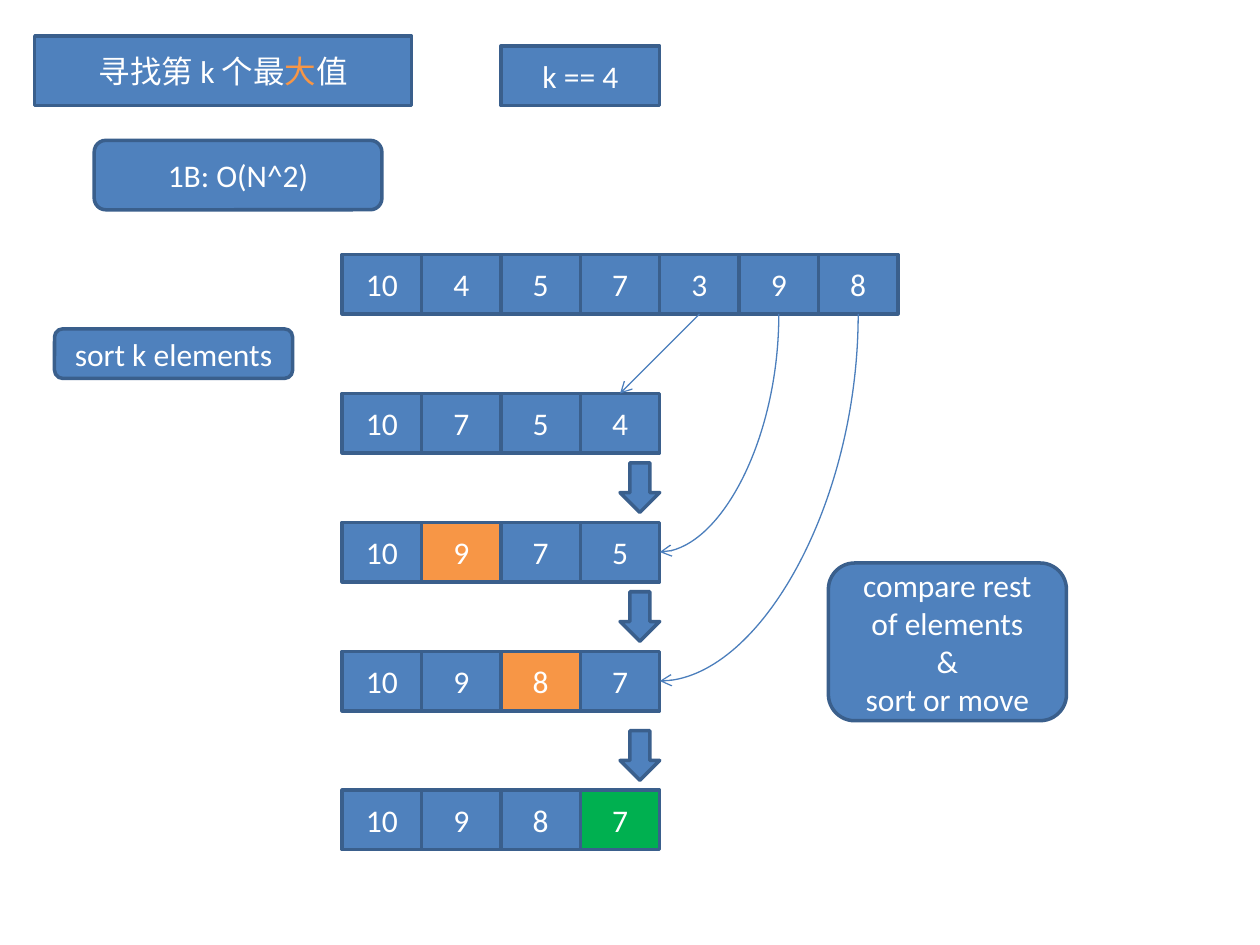
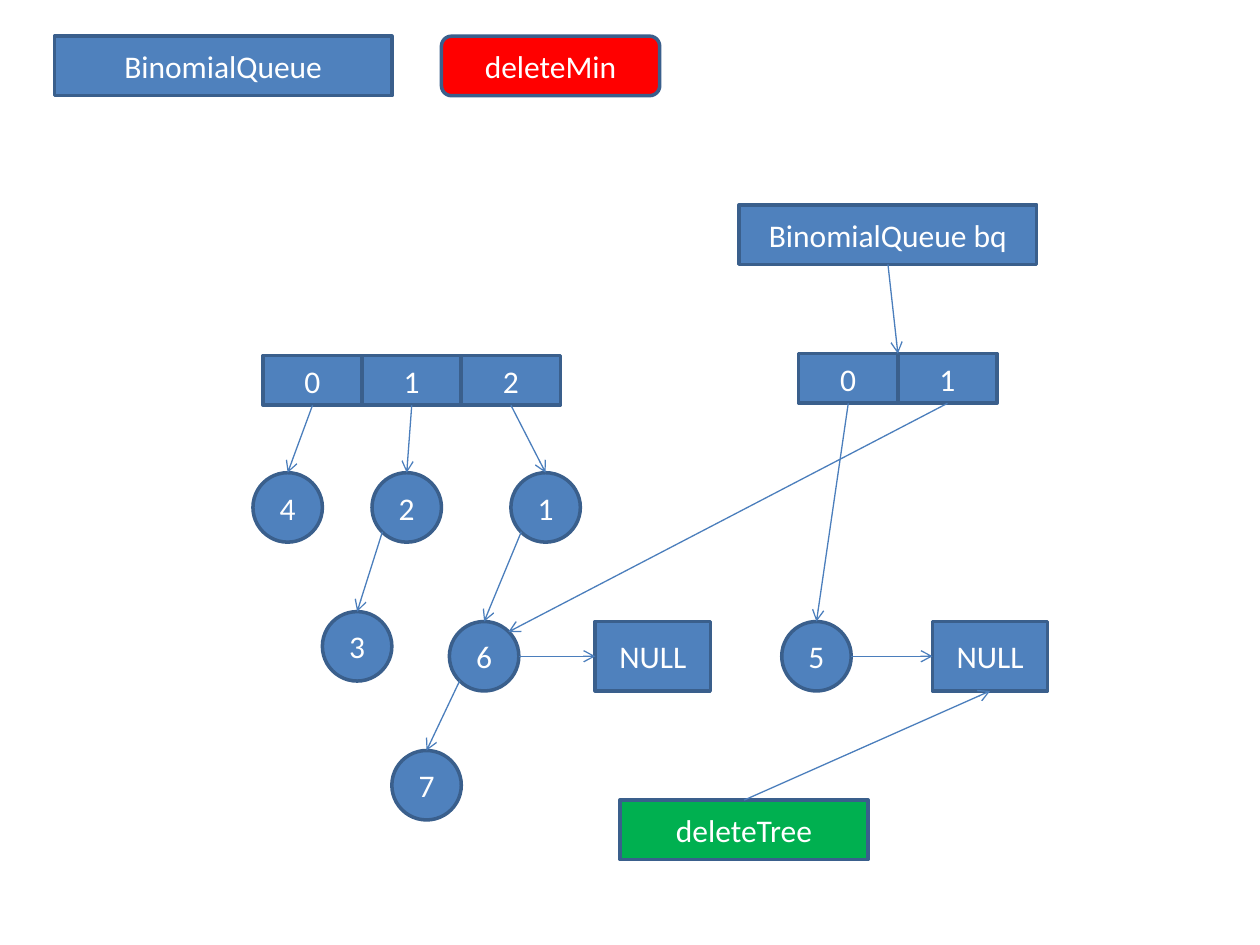
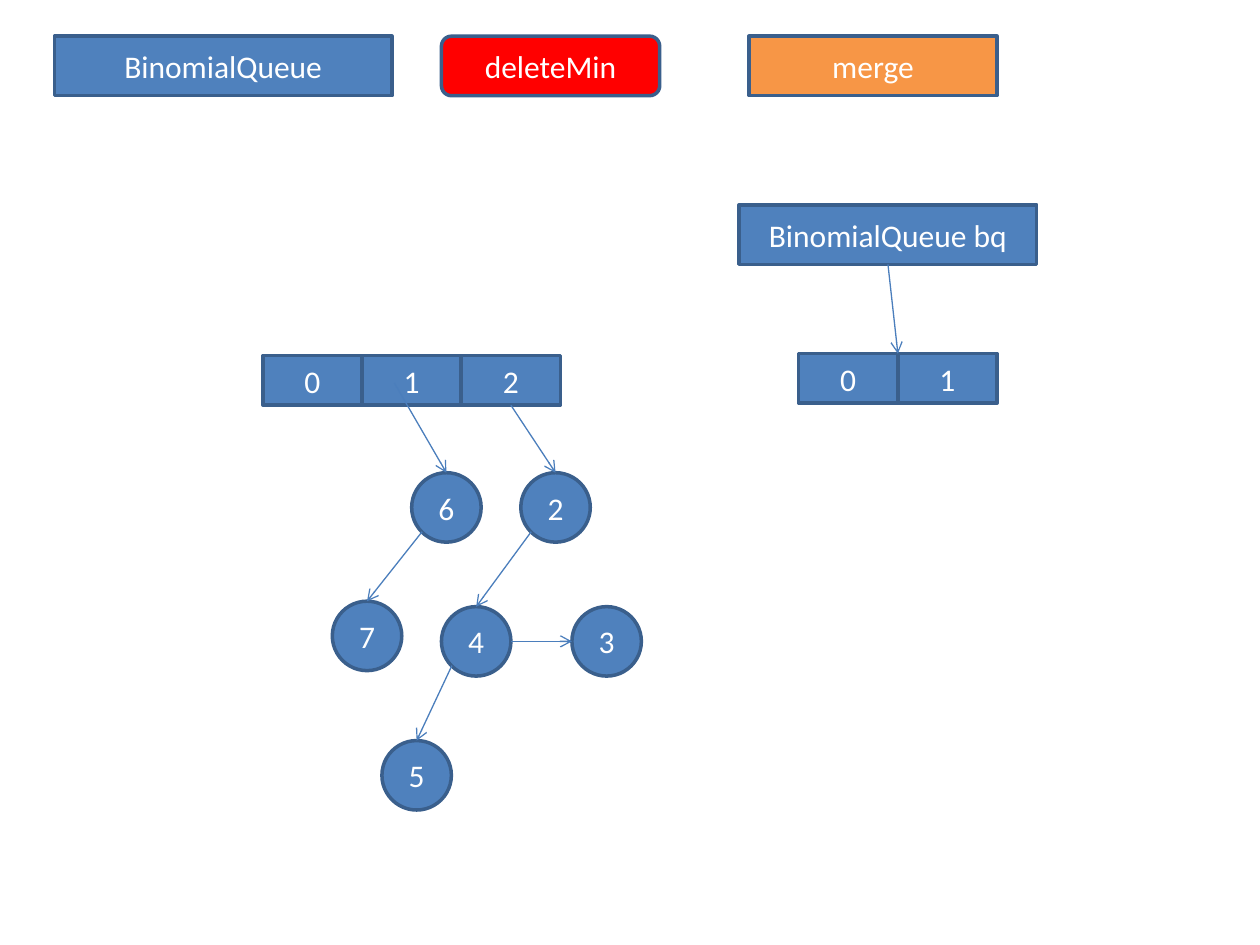
from dataclasses import dataclass

from lxml.etree import SubElement
from pptx import Presentation
from pptx.dml.color import RGBColor
from pptx.enum.shapes import MSO_CONNECTOR, MSO_SHAPE
from pptx.enum.text import MSO_ANCHOR, MSO_AUTO_SIZE, PP_ALIGN
from pptx.oxml.ns import qn
from pptx.util import Cm, Pt

RECT, ROUND = MSO_SHAPE.RECTANGLE, MSO_SHAPE.ROUNDED_RECTANGLE
OVAL, DOWN = MSO_SHAPE.OVAL, MSO_SHAPE.DOWN_ARROW
STRAIGHT, CURVE = MSO_CONNECTOR.STRAIGHT, MSO_CONNECTOR.CURVE
CENTER, MIDDLE, NO_FIT = PP_ALIGN.CENTER, MSO_ANCHOR.MIDDLE, MSO_AUTO_SIZE.NONE
TITLE_ONLY = 5


@dataclass(frozen=True)
class Theme:
    """Colours, type and line weights shared by all slides."""

    blue: RGBColor = RGBColor(0x4F, 0x81, 0xBD)
    edge: RGBColor = RGBColor(0x3A, 0x5F, 0x8C)
    link: RGBColor = RGBColor(0x4B, 0x7E, 0xBC)
    orange: RGBColor = RGBColor(0xF7, 0x96, 0x46)
    green: RGBColor = RGBColor(0x00, 0xB0, 0x50)
    red: RGBColor = RGBColor(0xFF, 0x00, 0x00)
    white: RGBColor = RGBColor(0xFF, 0xFF, 0xFF)
    font: str = "Calibri"
    size: int = Pt(18)
    edge_width: int = Pt(2)
    link_width: int = Pt(0.75)


T = Theme()
FONT = {"name": T.font, "size": T.size}
FRAME = {"vertical_anchor": MIDDLE, "word_wrap": True, "auto_size": NO_FIT}
SITES = {
    "top": (0.5, 0), "left": (0, 0.5), "bottom": (0.5, 1), "right": (1, 0.5),
    "lower left": (0.15, 0.85), "upper right": (0.85, 0.15), "corner": (1, 0),
}
JOINS = {"top": 0, "left": 1, "bottom": 2, "right": 3}
CELL_W, CELL_H = 1.6, 1.2
INDEX_W, INDEX_H = 2, 1
NODE = 1.4


def write(tf, text, accent=None):
    """Fill a text frame with centred paragraphs, colouring the accent part."""
    for name, value in FRAME.items():
        setattr(tf, name, value)
    for i, line in enumerate(text.split("\n")):
        p = tf.add_paragraph() if i else tf.paragraphs[0]
        p.alignment = CENTER
        for part in line.partition(accent) if accent else [line]:
            r = p.add_run()
            r.text = part
            for name, value in FONT.items():
                setattr(r.font, name, value)
            r.font.color.rgb = T.orange if part == accent else T.white


def dress(sp, text, fill, accent=None):
    """Give a shape its fill, outline and text."""
    sp.shadow.inherit = False
    sp.fill.solid()
    sp.fill.fore_color.rgb = fill
    sp.line.color.rgb = T.edge
    sp.line.width = T.edge_width
    if text:
        write(sp.text_frame, text, accent)


def box(s, x, y, w, h, text="", fill=T.blue, kind=RECT):
    """Add a dressed preset shape, measured in centimetres."""
    sp = s.shapes.add_shape(kind, Cm(x), Cm(y), Cm(w), Cm(h))
    dress(sp, text, fill)
    return sp


def title(s, x, y, w, h, text, accent=None):
    """Turn the title placeholder into a rounded heading."""
    sp = s.shapes.title
    sp.left, sp.top, sp.width, sp.height = Cm(x), Cm(y), Cm(w), Cm(h)
    geom = SubElement(sp.element.spPr, qn("a:prstGeom"), prst="roundRect")
    SubElement(geom, qn("a:avLst"))
    dress(sp, text, T.blue, accent)


def row(s, x, y, w, h, values, fills=None):
    """Lay equal cells side by side; fills maps a column to its colour."""
    fills = fills or {}
    return [box(s, x + i * w, y, w, h, value, fills.get(i, T.blue))
            for i, value in enumerate(values)]


def point(sp, site):
    """Return the position of a named site on a shape."""
    fx, fy = SITES[site]
    return int(sp.left + fx * sp.width), int(sp.top + fy * sp.height)


def arrow(s, kind, start, end):
    """Draw a thin connector with an open arrowhead at its end."""
    c = s.shapes.add_connector(kind, *start, *end)
    c.line.color.rgb = T.link
    c.line.width = T.link_width
    SubElement(c.line._get_or_add_ln(), qn("a:tailEnd"), type="arrow")
    SubElement(c.element.spPr, qn("a:effectLst"))
    return c


def joinable(sp, site):
    """Tell whether a site is a connection point the connector can join."""
    return site == "top" or (site in JOINS and sp.auto_shape_type == RECT)


def link(s, a, a_site, b, b_site):
    """Connect two shapes with a straight arrow."""
    c = arrow(s, STRAIGHT, point(a, a_site), point(b, b_site))
    if joinable(a, a_site):
        c.begin_connect(a, JOINS[a_site])
    if joinable(b, b_site):
        c.end_connect(b, JOINS[b_site])


def curve(s, a, b):
    """Bend an arrow from the bottom of one cell to the right of another."""
    (x1, y1), (x2, y2) = point(a, "bottom"), point(b, "right")
    cx, cy = (x1 + x2) // 2, (y1 + y2) // 2
    half_w, half_h = (y2 - y1) // 2, (x1 - x2) // 2
    c = arrow(s, CURVE, (cx - half_w, cy - half_h), (cx + half_w, cy + half_h))
    c.element.spPr.find(qn("a:prstGeom")).set("prst", "curvedConnector2")
    c.element.spPr.find(qn("a:xfrm")).set("rot", "5400000")


def sort_steps(s, x, y):
    """Draw the input array and the four leading elements after each step."""
    source = row(s, x, y, CELL_W, CELL_H, ["10", "4", "5", "7", "3", "9", "8"])
    steps = [
        (2.8, ["10", "7", "5", "4"], {}),
        (5.4, ["10", "9", "7", "5"], {1: T.orange}),
        (8, ["10", "9", "8", "7"], {2: T.orange}),
        (10.8, ["10", "9", "8", "7"], {3: T.green}),
    ]
    rows = [row(s, x, y + dy, CELL_W, CELL_H, values, fills)
            for dy, values, fills in steps]
    for dy in (4.2, 6.8, 9.6):
        box(s, x + 5.6, y + dy, 0.8, 1, kind=DOWN)
    link(s, source[4], "bottom", rows[0][3], "top")
    curve(s, source[5], rows[1][3])
    curve(s, source[6], rows[2][3])


def tree(s, x, y, places, children):
    """Place round nodes from the box corner and link parents to children."""
    nodes = {key: box(s, x + dx, y + dy, NODE, NODE, key, kind=OVAL)
             for key, (dx, dy) in places.items()}
    for parent, child in children:
        link(s, nodes[parent], "lower left", nodes[child], "top")
    return nodes


def forest(s, x, y, places, children):
    """Draw the three-slot index with its trees below."""
    cells = row(s, x, y, INDEX_W, INDEX_H, ["0", "1", "2"])
    return cells, tree(s, x, y, places, children)


def null_after(s, node, x, y):
    """Draw the NULL box that ends a sibling chain."""
    null = box(s, x, y, 2.32, NODE, "NULL")
    link(s, node, "right", null, "left")
    return null


def queue(s, x, y):
    """Draw the bq object and its two-slot index."""
    name = box(s, x, y, 6, 1.2, "BinomialQueue bq")
    cells = row(s, x + 1.2, y + 3, INDEX_W, INDEX_H, ["0", "1"])
    link(s, name, "bottom", cells[0], "corner")
    return cells


def headings(s, x, y):
    """Place the topic and operation headings."""
    title(s, x, y, 6.8, 1.2, "BinomialQueue")
    box(s, x + 7.8, y, 4.4, 1.2, "deleteMin", T.red, ROUND)


def kth_slide(s):
    """Build the search for the k-th largest value."""
    title(s, 0.7, 0.73, 7.6, 1.4, "寻找第 k 个最大值", accent="大")
    box(s, 10.1, 0.93, 3.2, 1.2, "k == 4")
    box(s, 1.9, 2.83, 5.8, 1.4, "1B: O(N^2)", kind=ROUND)
    box(s, 1.1, 6.63, 4.8, 1, "sort k elements", kind=ROUND)
    box(s, 16.7, 11.35, 4.8, 3.18,
        "compare rest of elements\n&\nsort or move", kind=ROUND)
    sort_steps(s, 6.9, 5.13)


def delete_slide(s):
    """Build the step that detaches the subtrees of the minimum."""
    headings(s, 1.1, 0.73)
    places = {"4": (-0.2, 2.36), "2": (2.2, 2.36), "1": (5, 2.36),
              "3": (1.2, 5.16), "6": (3.76, 5.36), "7": (2.6, 7.96)}
    cells, nodes = forest(s, 5.3, 7.17, places,
                          [("2", "3"), ("1", "6"), ("6", "7")])
    for cell, root in zip(cells, "421"):
        link(s, cell, "bottom", nodes[root], "top")
    bq = queue(s, 14.9, 4.13)
    five = tree(s, 14.9, 4.13, {"5": (0.86, 8.4)}, [])["5"]
    link(s, bq[0], "bottom", five, "top")
    link(s, bq[1], "bottom", nodes["6"], "upper right")
    null_after(s, nodes["6"], 12, 12.53)
    last_null = null_after(s, five, 18.8, 12.53)
    delete = box(s, 12.5, 16.13, 5, 1.2, "deleteTree", T.green)
    link(s, delete, "top", last_null, "bottom")


def merge_slide(s):
    """Build the state after both queues are merged."""
    headings(s, 1.1, 0.73)
    box(s, 15.1, 0.73, 5, 1.2, "merge", T.orange)
    places = {"6": (3, 2.36), "2": (5.2, 2.36), "7": (1.4, 4.95),
              "4": (3.6, 5.06), "3": (6.23, 5.06), "5": (2.4, 7.76)}
    cells, nodes = forest(s, 5.3, 7.17, places,
                          [("6", "7"), ("2", "4"), ("4", "5")])
    arrow(s, STRAIGHT, (Cm(7.95), Cm(7.72)), point(nodes["6"], "top"))
    link(s, cells[2], "bottom", nodes["2"], "top")
    link(s, nodes["4"], "right", nodes["3"], "left")
    queue(s, 14.9, 4.13)


def main():
    """Build and save the presentation."""
    prs = Presentation()
    prs.slide_width, prs.slide_height = Cm(25.4), Cm(19.05)
    for build in (kth_slide, delete_slide, merge_slide):
        build(prs.slides.add_slide(prs.slide_layouts[TITLE_ONLY]))
    prs.save("out.pptx")


if __name__ == "__main__":
    main()
